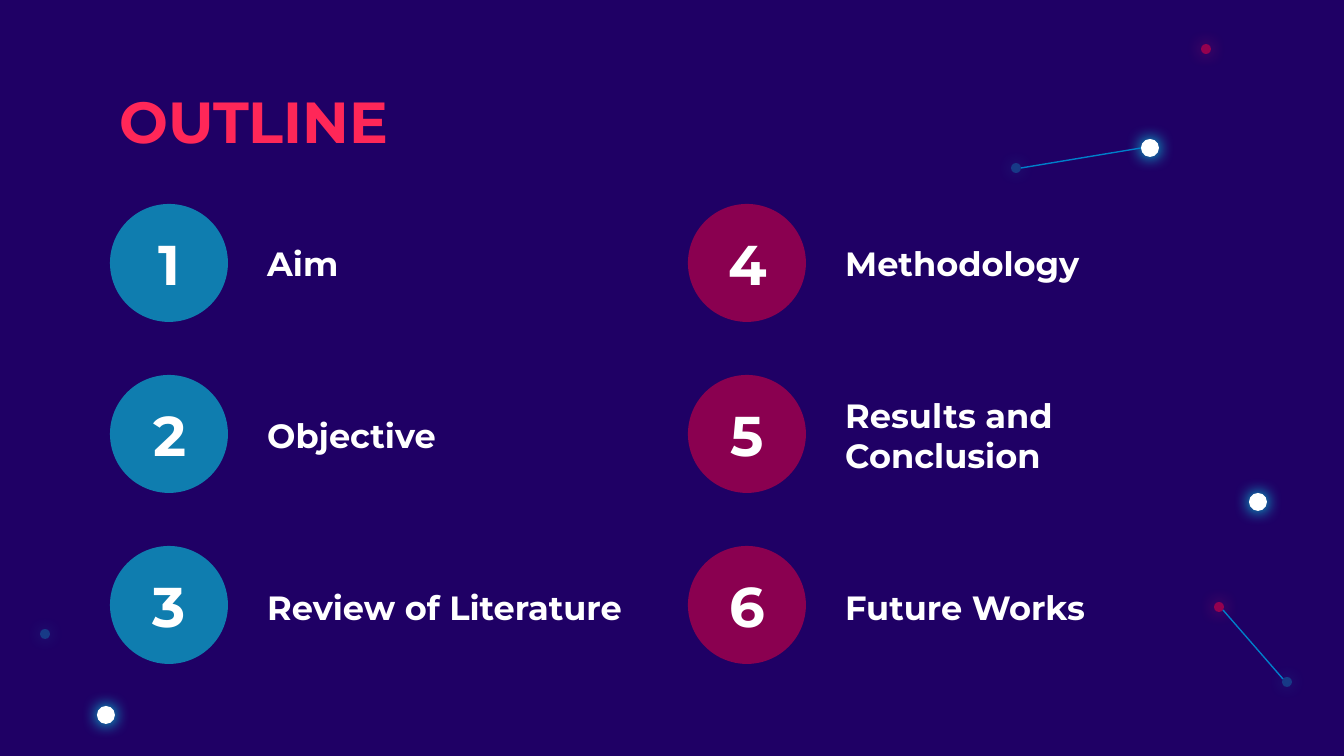
from dataclasses import dataclass

from lxml import etree
from pptx import Presentation
from pptx.dml.color import RGBColor
from pptx.enum.shapes import MSO_CONNECTOR, MSO_SHAPE
from pptx.enum.text import MSO_ANCHOR, MSO_AUTO_SIZE, PP_ALIGN
from pptx.oxml.ns import qn
from pptx.util import Inches, Pt

OVAL = MSO_SHAPE.OVAL
STRAIGHT = MSO_CONNECTOR.STRAIGHT
LEFT, CENTER = PP_ALIGN.LEFT, PP_ALIGN.CENTER
MIDDLE = MSO_ANCHOR.MIDDLE
NO_FIT = MSO_AUTO_SIZE.NONE
EMU_PER_PX = 914400 / 134.4


@dataclass(frozen=True)
class Theme:
    font: str = "Montserrat"
    background: str = "1F0065"
    white: str = "FFFFFF"
    cyan: str = "00FFFD"
    red: str = "FF003A"
    coral: str = "FF2758"
    blue: str = "007FCA"
    title_size: int = 31
    number_size: int = 30
    label_size: int = 18
    glow_blur: int = 9
    line_width: float = 0.75


def px(n):
    return round(n * EMU_PER_PX)


class Deck:
    def __init__(self, theme):
        self.theme = theme
        self.prs = Presentation()
        self.prs.slide_width, self.prs.slide_height = px(1344), px(756)
        self.s = None

    def add_slide(self):
        self.s = self.prs.slides.add_slide(self.prs.slide_layouts[5])
        fill = self.s.background.fill
        fill.solid()
        fill.fore_color.rgb = RGBColor.from_string(self.theme.background)

    def set_text(self, tf, text, size, color, align=LEFT):
        tf.word_wrap = True
        tf.auto_size = NO_FIT
        tf.vertical_anchor = MIDDLE
        tf.margin_left = tf.margin_right = Inches(0.1)
        tf.margin_top = tf.margin_bottom = Inches(0.1)
        p = tf.paragraphs[0]
        p.alignment = align
        r = p.add_run()
        r.text = text
        r.font.name = self.theme.font
        r.font.size = Pt(size)
        r.font.bold = True
        r.font.color.rgb = RGBColor.from_string(color)

    def title(self, text, x, y, w, h):
        sp = self.s.shapes.title
        sp.left, sp.top, sp.width, sp.height = map(px, (x, y, w, h))
        self.set_text(sp.text_frame, text, self.theme.title_size, self.theme.coral)

    def text(self, text, x, y, w, h, size, align=LEFT):
        sp = self.s.shapes.add_textbox(px(x), px(y), px(w), px(h))
        self.set_text(sp.text_frame, text, size, self.theme.white, align)

    def circle(self, x, y, d, color, alpha=100, glow=None):
        sp = self.s.shapes.add_shape(OVAL, px(x), px(y), px(d), px(d))
        sp.shadow.inherit = False
        sp.line.fill.background()
        sp.fill.solid()
        sp.fill.fore_color.rgb = RGBColor.from_string(color)
        if alpha < 100:
            clr = sp._element.spPr.find(qn("a:solidFill"))[0]
            etree.SubElement(clr, qn("a:alpha"), val=str(alpha * 1000))
        if glow:
            effects = sp._element.spPr.find(qn("a:effectLst"))
            shadow = etree.SubElement(
                effects, qn("a:outerShdw"), blurRad=str(int(Pt(self.theme.glow_blur))),
                dist="0", dir="0", algn="bl", rotWithShape="0")
            etree.SubElement(shadow, qn("a:srgbClr"), val=glow)

    def star(self, cx, cy, d, color, alpha, glow):
        self.circle(cx - d / 2, cy - d / 2, d, color, alpha, glow)

    def line(self, x1, y1, x2, y2):
        c = self.s.shapes.add_connector(STRAIGHT, px(x1), px(y1), px(x2), px(y2))
        c.line.color.rgb = RGBColor.from_string(self.theme.blue)
        c.line.width = Pt(self.theme.line_width)
        etree.SubElement(c._element.spPr, qn("a:effectLst"))


def main():
    theme = Theme()
    deck = Deck(theme)
    deck.add_slide()

    bright = (18, theme.white, 100, theme.cyan)
    dim = (10, theme.cyan, 20, theme.cyan)
    red = (10, theme.red, 48, theme.coral)
    stars = [
        (106, 715, bright), (45, 634, dim), (1258, 502, bright),
        (1219, 607, red), (1287, 682, dim), (1206, 49, red),
        (1150, 148, bright), (1016, 168, dim),
    ]
    for cx, cy, style in stars:
        deck.star(cx, cy, *style)
    deck.line(1283, 679, 1223, 610)
    deck.line(1141, 148, 1021, 168)

    deck.title("OUTLINE", 106, 79, 1133, 83)

    columns = [
        (theme.cyan, 49, ["Aim", "Objective", "Review of Literature"]),
        (theme.red, 48, ["Methodology", "Results and Conclusion", "Future Works"]),
    ]
    for col, (color, alpha, labels) in enumerate(columns):
        x = 110 + 578 * col
        for row, label in enumerate(labels):
            y = 204 + 171 * row
            number = str(col * len(labels) + row + 1)
            deck.circle(x, y, 118, color, alpha)
            deck.text(number, x + 22, y + 16, 75, 87, theme.number_size, CENTER)
            deck.text(label, x + 144, y + 12 + row, 402, 94, theme.label_size)

    deck.prs.save("out.pptx")


if __name__ == "__main__":
    main()
